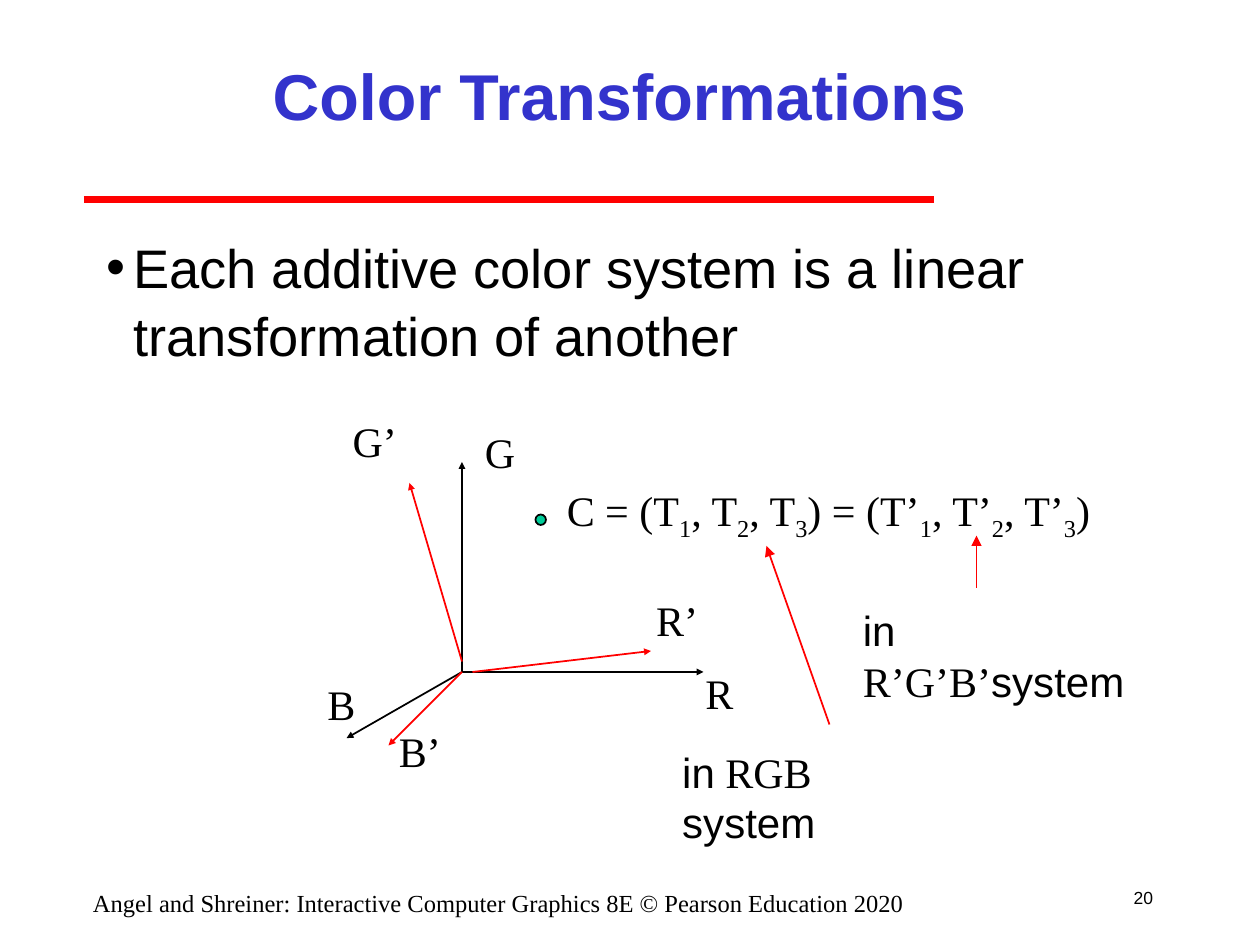
from dataclasses import dataclass

from lxml import etree
from pptx import Presentation
from pptx.dml.color import RGBColor
from pptx.enum.shapes import MSO_CONNECTOR, MSO_SHAPE
from pptx.enum.text import MSO_ANCHOR, PP_ALIGN
from pptx.oxml.ns import qn
from pptx.util import Inches, Pt

LINE = MSO_CONNECTOR.STRAIGHT
OVAL = MSO_SHAPE.OVAL
TOP, MID = MSO_ANCHOR.TOP, MSO_ANCHOR.MIDDLE
LEFT, CENTER, RIGHT = PP_ALIGN.LEFT, PP_ALIGN.CENTER, PP_ALIGN.RIGHT
CELL = Inches(1) / 12


@dataclass(frozen=True)
class Theme:
    """Hold the colours, fonts and type sizes."""
    ink: str = "000000"
    blue: str = "3333CC"
    red: str = "FF0000"
    green: str = "00CC99"
    sans: str = "Arial"
    serif: str = "Times New Roman"
    head: float = 37
    body: float = 31
    label: float = 24
    foot: float = 14
    page: float = 10


THEME = Theme()


def grid(*cells):
    """Turn grid cells into lengths."""
    return [round(cell * CELL) for cell in cells]


def tint(hue):
    """Return the colour of a hex code."""
    return RGBColor.from_string(hue)


def style(font, size, face=None, hue=THEME.ink):
    """Set the size, colour and face of a font."""
    font.size = Pt(size)
    font.color.rgb = tint(hue)
    if face:
        font.name = face


def write(slide, box, runs, size, face=None, hue=THEME.ink, align=LEFT,
          anchor=TOP, wrap=False):
    """Place one paragraph of (text, face, baseline) runs in a box."""
    frame = slide.shapes.add_textbox(*grid(*box)).text_frame
    frame.word_wrap = wrap
    frame.vertical_anchor = anchor
    para = frame.paragraphs[0]
    para.alignment = align
    for text, own, base in runs:
        run = para.add_run()
        run.text = text
        if own:
            run.font.name = own
        if base:
            run.font._element.set("baseline", str(base))
    style(para.font, size, face, hue)
    return para


def plain(text):
    """Make a list of one run that takes the paragraph's font."""
    return [(text, None, 0)]


def draw(slide, start, end, hue, width=1, head=None):
    """Draw a line, with an arrowhead if a head size is given."""
    line = slide.shapes.add_connector(LINE, *grid(*start, *end))
    line.line.color.rgb = tint(hue)
    line.line.width = Pt(width)
    etree.SubElement(line._element.spPr, qn("a:effectLst"))
    if head:
        etree.SubElement(line.line._get_or_add_ln(), qn("a:tailEnd"),
                         type="triangle", w=head, len=head)


def title(slide, left, top, width, height):
    """Place the heading and the rule beneath it."""
    write(slide, (left + 10, top, width - 20, height - 2),
          plain("Color Transformations"), THEME.head, THEME.sans, THEME.blue,
          CENTER, MID, True).font.bold = True
    base = top + height + 2
    draw(slide, (left, base), (left + 81, base), THEME.red, 4)


def body(slide, *box):
    """Place the bulleted statement."""
    para = write(
        slide, box,
        plain("Each additive color system is a linear transformation of another"),
        THEME.body, wrap=True)
    para.line_spacing = 1.04
    props = para._p.get_or_add_pPr()
    props.set("marL", str(Inches(0.21)))
    props.set("indent", str(-Inches(0.21)))
    etree.SubElement(props, qn("a:buFont"), typeface=THEME.sans)
    etree.SubElement(props, qn("a:buChar"), char="•")
    style(para.font, THEME.body, THEME.sans)


def axes(slide, left, top):
    """Draw both colour frames and name their axes."""
    rays = [
        ((14, 25), (37, 25), THEME.ink), ((14, 25), (14, 5), THEME.ink),
        ((14, 25), (3, 31.3), THEME.ink), ((15, 25), (32, 23), THEME.red),
        ((14, 24), (9, 7), THEME.red), ((14, 25), (7, 32), THEME.red),
    ]
    for start, end, hue in rays:
        draw(slide, (left + start[0], top + start[1]),
             (left + end[0], top + end[1]), hue, head="sm")
    names = [("R", 36, 24, 5), ("R’", 31.3, 17, 6.4), ("G", 15, 1, 5.3),
             ("G’", 2.4, 0, 6.6), ("B", 0, 25, 5), ("B’", 6.8, 29.5, 6.4)]
    for name, col, row, width in names:
        write(slide, (left + col, top + row, width, 6), plain(name),
              THEME.label, THEME.serif)


def terms(mark):
    """List the runs of three numbered terms."""
    runs = []
    for num in "123":
        lead = "" if num == "1" else ", "
        runs += [(f"{lead}T{mark}", None, 0), (num, None, -25000)]
    return runs


def color(slide, left, top):
    """Place the colour point, its formula and the notes on it."""
    dot = slide.shapes.add_shape(OVAL, *grid(left, top + 3.4, 1, 1))
    dot.shadow.inherit = False
    dot.fill.solid()
    dot.fill.fore_color.rgb = tint(THEME.green)
    dot.line.color.rgb = tint(THEME.ink)
    dot.line.width = Pt(1)
    runs = (plain("C = (") + terms("") + plain(") = (") + terms("’")
            + plain(")"))
    write(slide, (left + 1.8, top, 52.6, 6.7), runs, THEME.label, THEME.serif)
    notes = [(" RGB ", (12.8, 24.9, 28.3), (28, 23.4), (22, 6.4)),
             (" R’G’B’", (30, 11.4, 31.3), (42, 10.4), (42, 5.4))]
    for name, (col, row, width), start, end in notes:
        write(slide, (left + col, top + row, width, 6),
              [("in", THEME.sans, 0), (name, THEME.serif, 0),
               ("system", THEME.sans, 0)], THEME.label)
        draw(slide, (left + start[0], top + start[1]),
             (left + end[0], top + end[1]), THEME.red, head="med")


def foot(slide, left, top, width, height):
    """Place the source line and the page number."""
    write(slide, (left, top + 1, 83, 3),
          plain("Angel and Shreiner: Interactive Computer Graphics 8E "
                "© Pearson Education 2020"),
          THEME.foot, THEME.serif, align=CENTER, wrap=True)
    write(slide, (left + width - 5, top, 5, height), plain("20"),
          THEME.page, THEME.sans, align=RIGHT, anchor=MID)


def main():
    """Build and save the slide."""
    deck = Presentation()
    deck.slide_width, deck.slide_height = grid(120, 90)
    slide = deck.slides.add_slide(deck.slide_layouts[6])
    title(slide, 8, 3, 102, 14)
    body(slide, 9, 21.5, 102, 62)
    axes(slide, 30, 39)
    color(slide, 51, 45.6)
    foot(slide, 6, 83, 105, 5)
    deck.save("out.pptx")


if __name__ == "__main__":
    main()
